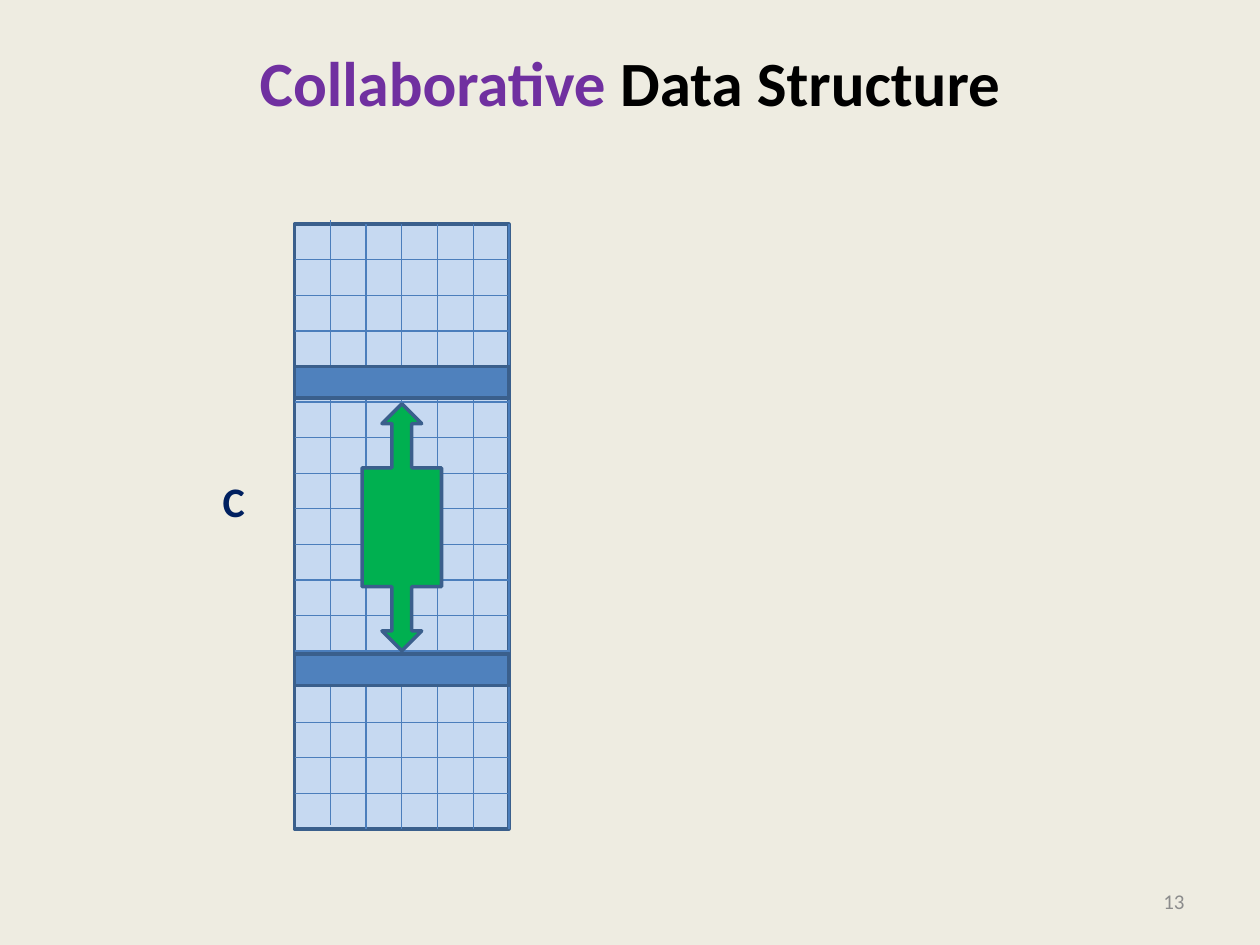
from dataclasses import dataclass
from typing import Any

import pptx
import pptx.dml.color
import pptx.enum.shapes
import pptx.enum.text
import pptx.oxml.ns
import pptx.util
from lxml import etree

Cm = pptx.util.Cm
ALIGN = pptx.enum.text.PP_ALIGN
ANCHOR = pptx.enum.text.MSO_ANCHOR
SHAPE = pptx.enum.shapes.MSO_SHAPE


@dataclass(frozen=True)
class Theme:
    background: str = "EEECE1"
    panel: str = "C6D9F1"
    band: str = "4F81BD"
    arrow: str = "00B050"
    outline: str = "3A5F8C"
    grid: str = "4B7EBC"
    accent: str = "7030A0"
    text: str = "000000"
    label: str = "002060"
    muted: str = "8C8C8C"
    font: str = "Calibri"
    title_size: float = 36
    label_size: float = 24
    number_size: float = 12
    outline_width: float = 2
    grid_width: float = 0.75


@dataclass(frozen=True)
class Box:
    """Position and size in centimetres."""
    left: float
    top: float
    width: float
    height: float

    def lengths(self) -> tuple:
        return Cm(self.left), Cm(self.top), Cm(self.width), Cm(self.height)


@dataclass(frozen=True)
class GridLine:
    """End points in centimetres."""
    x1: float
    y1: float
    x2: float
    y2: float


THEME = Theme()
PANEL = Box(5.94, 4.52, 4.32, 12.19)
ROWS, COLUMNS = 17, 6
FIRST_COLUMN_SHIFT = -0.08
BAND_HEIGHT = 0.64
BAND_TOPS = (7.39, 13.18)
ARROW = Box(5.61, 9.83, 4.98, 1.6)


def rgb(value: str) -> pptx.dml.color.RGBColor:
    return pptx.dml.color.RGBColor.from_string(value)


def add_text(s: Any, box: Box, *runs: tuple[str, str], size: float, bold: bool = False,
             align: Any = ALIGN.LEFT, anchor: Any = ANCHOR.TOP, wrap: bool = True) -> None:
    """Add one paragraph made of (text, colour) runs."""
    tf = s.shapes.add_textbox(*box.lengths()).text_frame
    tf.word_wrap = wrap
    tf.vertical_anchor = anchor
    p = tf.paragraphs[0]
    p.alignment = align
    for text, color in runs:
        r = p.add_run()
        r.text = text
        r.font.name = THEME.font
        r.font.size = pptx.util.Pt(size)
        r.font.bold = bold
        r.font.color.rgb = rgb(color)


def add_shape(s: Any, kind: Any, box: Box, fill: str, rotation: float = 0) -> Any:
    sp = s.shapes.add_shape(kind, *box.lengths())
    sp.shadow.inherit = False
    sp.rotation = rotation
    sp.fill.solid()
    sp.fill.fore_color.rgb = rgb(fill)
    sp.line.color.rgb = rgb(THEME.outline)
    sp.line.width = pptx.util.Pt(THEME.outline_width)
    return sp


def add_line(s: Any, line: GridLine) -> Any:
    cxn = s.shapes.add_connector(
        pptx.enum.shapes.MSO_CONNECTOR.STRAIGHT,
        Cm(line.x1), Cm(line.y1), Cm(line.x2), Cm(line.y2))
    cxn.line.color.rgb = rgb(THEME.grid)
    cxn.line.width = pptx.util.Pt(THEME.grid_width)
    etree.SubElement(cxn.element.spPr, pptx.oxml.ns.qn("a:effectLst"))
    return cxn


def add_grid(s: Any, panel: Any) -> None:
    right, bottom = PANEL.left + PANEL.width, PANEL.top + PANEL.height
    for row in range(1, ROWS):
        y = PANEL.top + row * PANEL.height / ROWS
        add_line(s, GridLine(PANEL.left, y, right, y))
    for column in range(1, COLUMNS + 1):
        x = PANEL.left + column * PANEL.width / COLUMNS
        shift = FIRST_COLUMN_SHIFT if column == 1 else 0
        cxn = add_line(s, GridLine(x, PANEL.top + shift, x, bottom + shift))
        if column * 2 == COLUMNS:
            cxn.begin_connect(panel, 0)
            cxn.end_connect(panel, 2)


def main() -> None:
    prs = pptx.Presentation()
    prs.slide_width, prs.slide_height = Cm(25.4), Cm(19.05)
    s = prs.slides.add_slide(prs.slide_layouts[6])
    s.background.fill.solid()
    s.background.fill.fore_color.rgb = rgb(THEME.background)

    add_text(s, Box(1.27, 0.76, 22.86, 3.18),
             ("Collaborative", THEME.accent), (" Data Structure", THEME.text),
             size=THEME.title_size, bold=True, align=ALIGN.CENTER)
    panel = add_shape(s, SHAPE.RECTANGLE, PANEL, THEME.panel)
    add_grid(s, panel)
    add_text(s, Box(4.24, 9.47, 0.97, 1.27), ("C", THEME.label),
             size=THEME.label_size, bold=True, wrap=False)
    for top in BAND_TOPS:
        add_shape(s, SHAPE.RECTANGLE, Box(PANEL.left, top, PANEL.width, BAND_HEIGHT), THEME.band)
    add_shape(s, SHAPE.LEFT_RIGHT_ARROW_CALLOUT, ARROW, THEME.arrow, rotation=90)
    add_text(s, Box(18.21, 17.65, 5.92, 1.02), ("13", THEME.muted),
             size=THEME.number_size, align=ALIGN.RIGHT, anchor=ANCHOR.MIDDLE)
    prs.save("out.pptx")


if __name__ == "__main__":
    main()
